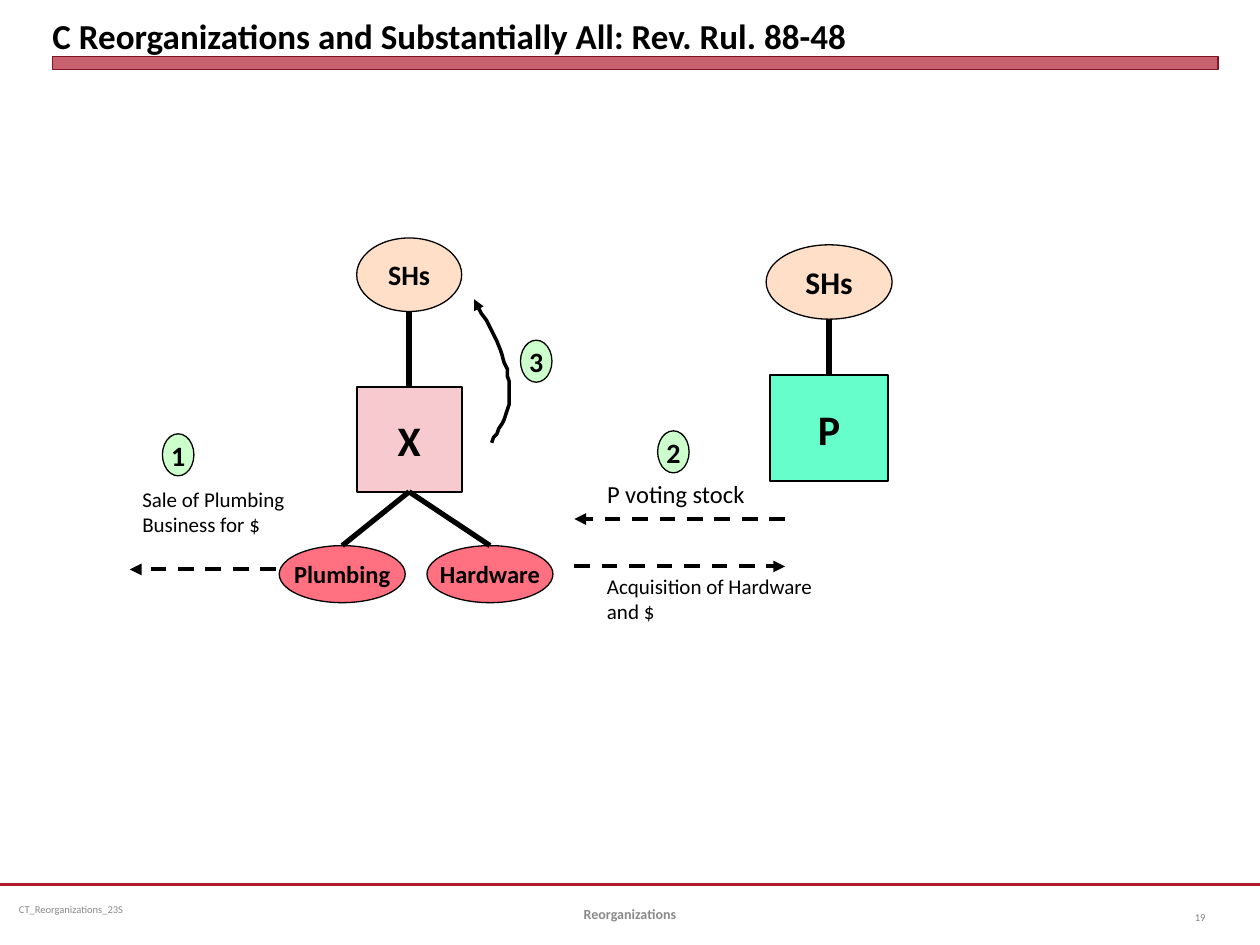
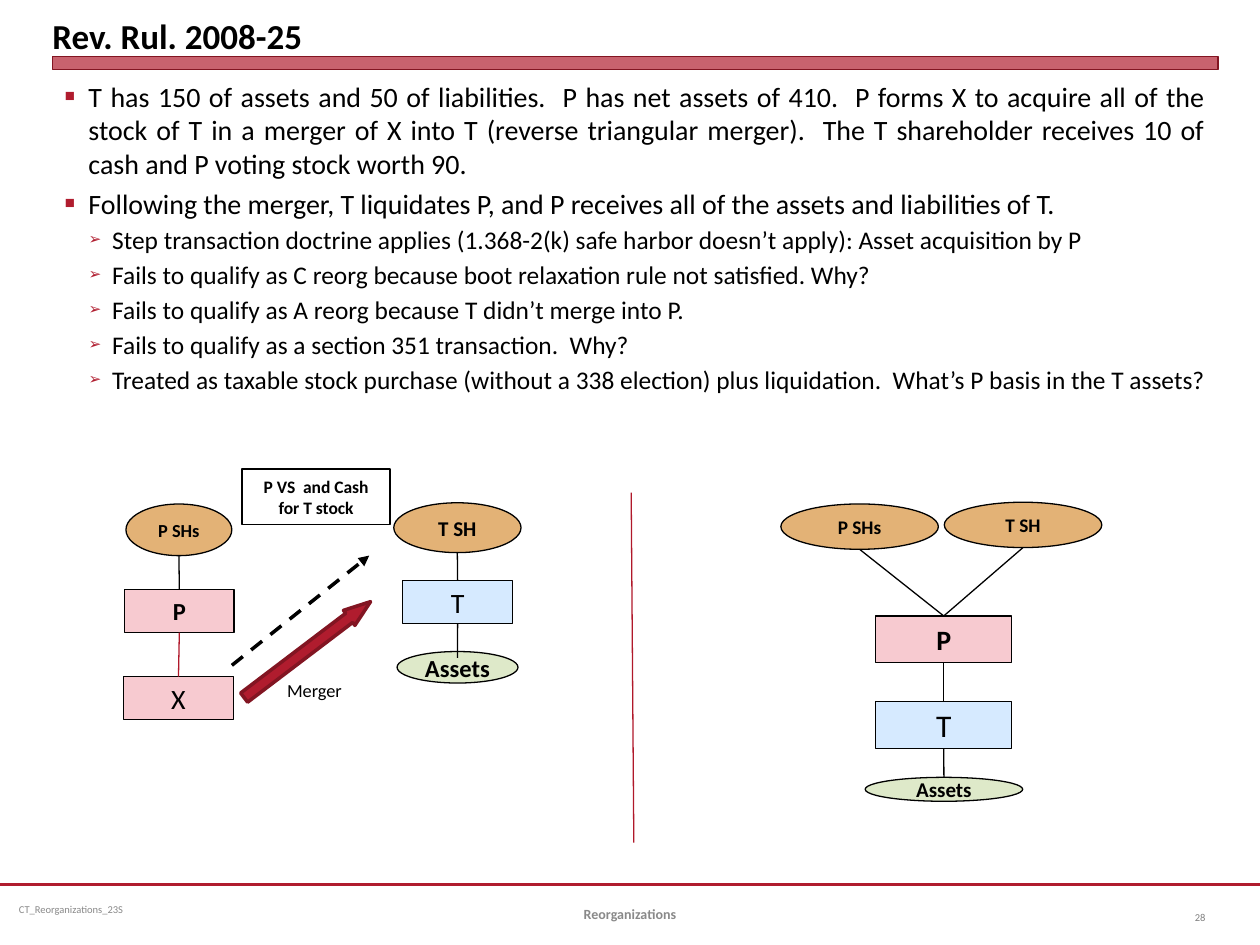
from lxml import etree
from pptx import Presentation
from pptx.dml.color import RGBColor
from pptx.enum import dml, shapes, text
from pptx.oxml import ns
from pptx.util import Pt

FONT = "Calibri"
BLACK, GRAY, NUMBER_GRAY = "000000", "898989", "808080"
CRIMSON, DARK_RED, THIN_RED = "B01C2E", "821522", "B0182A"
PEACH, PINK, CORAL, AQUA, LIME = "FFDFC8", "F7CAD0", "FF7081", "66FFCC", "CCFFCC"
TAN, SKY, SAGE = "E3B276", "D6EAFF", "DEE9C9"
RECT, OVAL = shapes.MSO_SHAPE.RECTANGLE, shapes.MSO_SHAPE.OVAL
ALIGN, ANCHOR = text.PP_ALIGN, text.MSO_ANCHOR
INSETS = 7.2, 3.6, 7.2, 3.6
BULLETS = {
    0: {"char": "■", "size": 16, "before": 3.4},
    1: {"char": "➢", "size": 14.5, "before": 2.6},
}


def rgb(color):
    return RGBColor.from_string(color)


def child(parent, tag, **attrs):
    return etree.SubElement(parent, ns.qn(tag), attrs)


def assign(obj, values):
    for name, value in values.items():
        setattr(obj, name, value)


def style(font, size, color=BLACK, bold=False):
    assign(font, {"name": FONT, "size": Pt(size), "bold": bold})
    font.color.rgb = rgb(color)


def frame(sp, anchor, wrap, insets=INSETS):
    left, top, right, bottom = map(Pt, insets)
    assign(sp.text_frame, {
        "word_wrap": wrap, "vertical_anchor": anchor,
        "margin_left": left, "margin_top": top,
        "margin_right": right, "margin_bottom": bottom,
    })
    return sp.text_frame


def write(sp, words, size, align, **fmt):
    p = sp.text_frame.paragraphs[0]
    p.alignment = align
    r = p.add_run()
    r.text = words
    style(r.font, size, **fmt)


def label(s, box, words, size, align=ALIGN.LEFT, anchor=ANCHOR.TOP,
          wrap=True, insets=INSETS, **fmt):
    sp = s.shapes.add_textbox(*map(Pt, box))
    frame(sp, anchor, wrap, insets)
    write(sp, words, size, align, **fmt)


def outline(line, color, width):
    line.color.rgb = rgb(color)
    line.width = Pt(width)


def node(s, kind, box, words="", size=12, fill=None, bold=True, color=BLACK,
         width=0.75, wrap=False):
    sp = s.shapes.add_shape(kind, *map(Pt, box))
    sp.shadow.inherit = False
    if fill:
        sp.fill.solid()
        sp.fill.fore_color.rgb = rgb(fill)
    else:
        sp.fill.background()
    outline(sp.line, color, width)
    if words:
        frame(sp, ANCHOR.MIDDLE, wrap)
        write(sp, words, size, ALIGN.CENTER, bold=bold)
    return sp


def add_arrowhead(sp):
    child(sp.line._get_or_add_ln(), "a:tailEnd", type="triangle")


def line(s, ends, color=BLACK, width=0.75, arrow=False):
    c = s.shapes.add_connector(shapes.MSO_CONNECTOR.STRAIGHT, *map(Pt, ends))
    outline(c.line, color, width)
    if arrow:
        c.line.dash_style = dml.MSO_LINE.DASH
        add_arrowhead(c)
    child(c._element.spPr, "a:effectLst")
    return c


def join(s, upper, lower, dip=0, **fmt):
    ends = (upper.left + upper.width / 2, upper.top + upper.height,
            lower.left + lower.width / 2, lower.top)
    x1, y1, x2, y2 = (round(e / Pt(1), 2) for e in ends)
    c = line(s, (x1, y1, x2, y2 + dip), **fmt)
    if upper.auto_shape_type == RECT:
        c.begin_connect(upper, 2)
    if lower.auto_shape_type == RECT:
        c.end_connect(lower, 0)


def bezier(p0, p1, p2, p3, steps=12):
    for i in range(1, steps + 1):
        t = i / steps
        yield tuple((1 - t) ** 3 * a + 3 * t * (1 - t) ** 2 * b
                    + 3 * t * t * (1 - t) * c + t ** 3 * d
                    for a, b, c, d in zip(p0, p1, p2, p3))


def curved_arrow(s, start, *curves):
    points, at = [], start
    for curve in curves:
        points += bezier(at, *curve)
        at = curve[-1]
    builder = s.shapes.build_freeform(*start, scale=Pt(1))
    builder.add_line_segments(points, close=False)
    sp = builder.convert_to_shape()
    sp.shadow.inherit = False
    sp.fill.background()
    outline(sp.line, BLACK, 2)
    add_arrowhead(sp)


def bullet_list(s, box, items):
    tf = frame(s.shapes.add_textbox(*map(Pt, box)), ANCHOR.TOP, True)
    for i, (level, words) in enumerate(items):
        p = tf.paragraphs[0] if i == 0 else tf.add_paragraph()
        kind = BULLETS[level]
        assign(p, {"level": level, "alignment": ALIGN.JUSTIFY,
                   "space_before": Pt(kind["before"] if i else 0)})
        pPr = p._p.get_or_add_pPr()
        pPr.set("marL", str(Pt(13.5 * (level + 1))))
        pPr.set("indent", str(-Pt(13.5)))
        child(child(pPr, "a:buClr"), "a:srgbClr", val=CRIMSON)
        child(pPr, "a:buSzPct", val="60000")
        child(pPr, "a:buFont", typeface="Wingdings" if level < 0 else "Arial")
        child(pPr, "a:buChar", char=kind["char"])
        r = p.add_run()
        r.text = words
        style(r.font, kind["size"])


def base_slide(prs, title, number):
    s = prs.slides.add_slide(prs.slide_layouts[6])
    line(s, (0, 505.4, 720, 505.4), CRIMSON, 1.25)
    label(s, (5.8, 505.4, 185.8, 28.8), "CT_Reorganizations_23S", 6,
          anchor=ANCHOR.MIDDLE, insets=(5, 2.9, 5, 2.9), color=GRAY)
    band = node(s, RECT, (30, 32.4, 666, 7.2), fill=CRIMSON, color=DARK_RED, width=0)
    tint = band._element.spPr.find(ns.qn("a:solidFill"))[0]
    child(tint, "a:alpha", val="69000")
    label(s, (30, 3.6, 666, 28.8), title, 20, anchor=ANCHOR.BOTTOM,
          insets=(0, 0, 0, 0), bold=True)
    label(s, (660, 509.8, 36, 28.8), number, 6, ALIGN.RIGHT, ANCHOR.MIDDLE,
          color=NUMBER_GRAY)
    label(s, (246, 507.6, 228, 28.8), "Reorganizations", 8, ALIGN.CENTER,
          ANCHOR.MIDDLE, color=GRAY, bold=True)
    return s


def substantially_all_slide(prs):
    s = base_slide(prs, "C Reorganizations and Substantially All: Rev. Rul. 88-48", "19")
    p_holders = node(s, OVAL, (437.8, 139.9, 72, 42.5), "SHs", 18, PEACH)
    p_corp = node(s, RECT, (440.2, 214.4, 67.2, 60.6), "P", 24, AQUA, width=1)
    x_holders = node(s, OVAL, (203.8, 136, 60, 42), "SHs", 16, PEACH)
    x_corp = node(s, RECT, (203.8, 221, 60, 60), "X", 24, PINK, width=1)
    plumbing, hardware = (
        node(s, OVAL, (x, 311.8, 72, 32.6), words, 14, CORAL)
        for x, words in ((159.6, "Plumbing"), (244, "Hardware")))
    for upper, lower in ((p_holders, p_corp), (x_holders, x_corp),
                         (x_corp, plumbing), (x_corp, hardware)):
        join(s, upper, lower, width=3)

    for ends in ((157.7, 325.4, 74.2, 325.4), (328.2, 323.7, 448.6, 323.7),
                 (448.6, 296.6, 328.2, 296.6)):
        line(s, ends, width=2.25, arrow=True)
    curved_arrow(s, (280.8, 252.7),
                 ((287.3, 242.6), (293, 231.8), (290.9, 218.2)),
                 ((289.4, 204.5), (280.1, 187.2), (270.7, 170.6)))

    for words, x, y in (("1", 92.8, 247.9), ("2", 375.8, 246.2), ("3", 297.4, 194.4)):
        node(s, OVAL, (x, y, 18, 24), words, 16, LIME)
    label(s, (74.2, 274.3, 102.2, 36), "Sale of Plumbing Business for $", 12)
    label(s, (339.8, 270, 94.3, 24.5), "P voting stock", 14, wrap=False)
    label(s, (339.8, 324, 136, 36), "Acquisition of Hardware and $", 12)


def reverse_merger_slide(prs):
    s = base_slide(prs, "Rev. Rul. 2008-25", "28")
    bullet_list(s, (30, 41.8, 666, 214.6), (
        (0, "T has 150 of assets and 50 of liabilities.  P has net assets of 410.  "
            "P forms X to acquire all of the stock of T in a merger of X into T "
            "(reverse triangular merger).  The T shareholder receives 10 of cash "
            "and P voting stock worth 90."),
        (0, "Following the merger, T liquidates P, and P receives all of the assets "
            "and liabilities of T."),
        (1, "Step transaction doctrine applies (1.368-2(k) safe harbor doesn’t apply): "
            "Asset acquisition by P"),
        (1, "Fails to qualify as C reorg because boot relaxation rule not satisfied. Why?"),
        (1, "Fails to qualify as A reorg because T didn’t merge into P."),
        (1, "Fails to qualify as a section 351 transaction.  Why?"),
        (1, "Treated as taxable stock purchase (without a 338 election) plus "
            "liquidation.  What’s P basis in the T assets?"),
    ))

    p_holders = node(s, OVAL, (72, 288, 60.5, 29.5), "P SHs", 10.5, TAN)
    p_corp = node(s, RECT, (71.2, 337, 62.6, 24.5), "P", 14, PINK)
    x_corp = node(s, RECT, (70.7, 386.6, 62.6, 24.5), "X", 16, PINK, bold=False)
    t_holder = node(s, OVAL, (225, 287.3, 72.7, 28.5), "T SH", 12, TAN)
    t_corp = node(s, RECT, (230.2, 331.9, 62.6, 24.5), "T", 16, SKY, bold=False)
    t_assets = node(s, OVAL, (226.9, 372.3, 69.1, 18), "Assets", 14, SAGE)
    join(s, p_holders, p_corp)
    join(s, p_corp, x_corp, color=THIN_RED)
    join(s, t_holder, t_corp)
    join(s, t_corp, t_assets, dip=3.6)
    line(s, (132.5, 380.2, 211, 317.5), width=2, arrow=True)
    node(s, RECT, (138.3, 268, 84.6, 31.7), "P VS  and Cash for T stock", 10, wrap=True)
    merger = node(s, shapes.MSO_SHAPE.RIGHT_ARROW, (130.3, 365.8, 90.7, 10.8),
                  fill=CRIMSON, color=DARK_RED, width=2)
    merger.rotation = 322.8
    for i, value in enumerate((0.61, 1.42)):
        merger.adjustments[i] = value
    label(s, (157, 384.5, 76.3, 21), "Merger", 10.5)

    line(s, (360.7, 281.5, 362.2, 481.5), THIN_RED)

    after_p_holders = node(s, OVAL, (446.2, 288, 90, 25.9), "P SHs", 11, TAN)
    after_t_holder = node(s, OVAL, (539.6, 287, 90, 25.9), "T SH", 11, TAN)
    after_p = node(s, RECT, (500.4, 352, 77.8, 26.6), "P", 16, PINK)
    after_t = node(s, RECT, (500.4, 401, 77.8, 26.6), "T", 18, SKY, bold=False)
    after_assets = node(s, OVAL, (494.4, 444.2, 90, 13.7), "Assets", 12, SAGE)
    for upper, lower in ((after_p_holders, after_p), (after_t_holder, after_p),
                         (after_p, after_t), (after_t, after_assets)):
        join(s, upper, lower)


def main():
    prs = Presentation()
    assign(prs, {"slide_width": Pt(720), "slide_height": Pt(540)})
    substantially_all_slide(prs)
    reverse_merger_slide(prs)
    prs.save("out.pptx")


if __name__ == "__main__":
    main()
